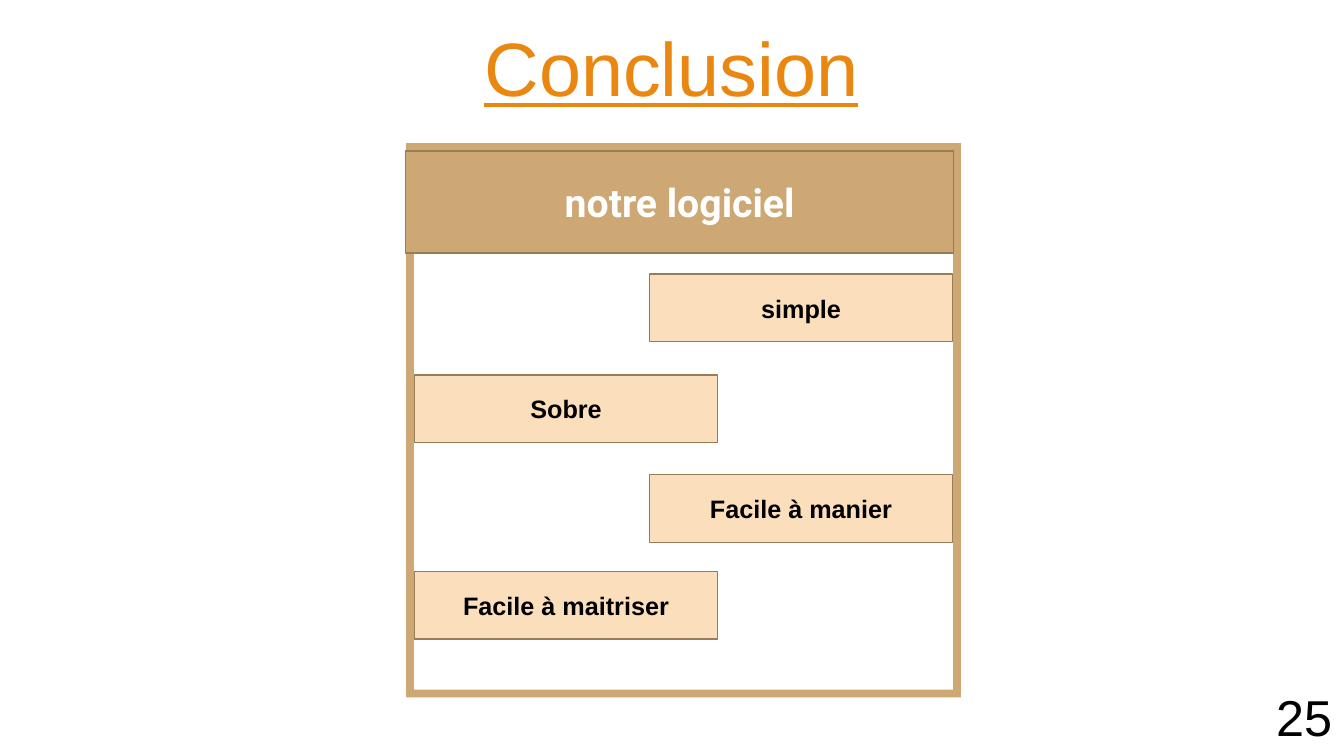
from pptx import Presentation
from pptx import util as u
from pptx.dml.color import RGBColor
from pptx.enum import shapes, text

WIDTH, HEIGHT = u.Inches(13.33), u.Inches(7.5)
ORANGE = RGBColor(0xEA, 0x87, 0x10)
TAN = RGBColor(0xCD, 0xA8, 0x74)
PEACH = RGBColor(0xFB, 0xDF, 0xBD)
BROWN = RGBColor(0x98, 0x7C, 0x56)
WHITE = RGBColor(0xFF, 0xFF, 0xFF)
BLACK = RGBColor(0, 0, 0)

LEFT_COLUMN, RIGHT_COLUMN = 30.83, 48.31
CARD_WIDTH, CARD_HEIGHT = 22.58, 8.93
CARDS = [
    ("simple", RIGHT_COLUMN, 36.27),
    ("Sobre", LEFT_COLUMN, 49.6),
    ("Facile à manier", RIGHT_COLUMN, 62.8),
    ("Facile à maitriser", LEFT_COLUMN, 75.6),
]


def percent_box(left, top, width, height):
    return (int(WIDTH * left / 100), int(HEIGHT * top / 100),
            int(WIDTH * width / 100), int(HEIGHT * height / 100))


def write(shape, wording, size, color, name="Arial", bold=False, underline=False):
    frame = shape.text_frame
    frame.word_wrap = True
    paragraph = frame.paragraphs[0]
    paragraph.alignment = text.PP_ALIGN.CENTER
    run = paragraph.add_run()
    run.text = wording
    run.font.name = name
    run.font.size = u.Pt(size)
    run.font.bold = bold
    run.font.underline = underline
    run.font.color.rgb = color


def add_label(slide, box, wording, size, color, underline=False):
    label = slide.shapes.add_textbox(*percent_box(*box))
    write(label, wording, size, color, underline=underline)
    label.text_frame.auto_size = text.MSO_AUTO_SIZE.SHAPE_TO_FIT_TEXT


def add_filled(slide, kind, box, fill):
    shape = slide.shapes.add_shape(kind, *percent_box(*box))
    shape.shadow.inherit = False
    shape.fill.solid()
    shape.fill.fore_color.rgb = fill
    return shape


def add_border(slide, box):
    border = add_filled(slide, shapes.MSO_SHAPE.FRAME, box, TAN)
    border.adjustments[0] = 0.014
    border.line.fill.background()


def add_panel(slide, box, fill, wording, size, color, name="Arial"):
    panel = add_filled(slide, shapes.MSO_SHAPE.RECTANGLE, box, fill)
    panel.line.color.rgb = BROWN
    panel.line.width = u.Pt(1)
    panel.text_frame.vertical_anchor = text.MSO_ANCHOR.MIDDLE
    write(panel, wording, size, color, name, bold=True)


def main():
    presentation = Presentation()
    presentation.slide_width, presentation.slide_height = WIDTH, HEIGHT
    slide = presentation.slides.add_slide(presentation.slide_layouts[6])
    slide.background.fill.solid()
    slide.background.fill.fore_color.rgb = WHITE

    add_border(slide, (30.23, 18.93, 41.26, 73.33))
    add_label(slide, (26.11, 2.13, 47.71, 13.47), "Conclusion", 54, ORANGE, underline=True)
    add_panel(slide, (30.16, 20, 40.81, 13.47), TAN, "notre logiciel", 28, WHITE, "Roboto")
    for wording, column, top in CARDS:
        add_panel(slide, (column, top, CARD_WIDTH, CARD_HEIGHT), PEACH, wording, 18, BLACK)
    add_label(slide, (93.1, 90.13, 7.88, 9.47), "25", 36, BLACK)

    presentation.save("out.pptx")


if __name__ == "__main__":
    main()
